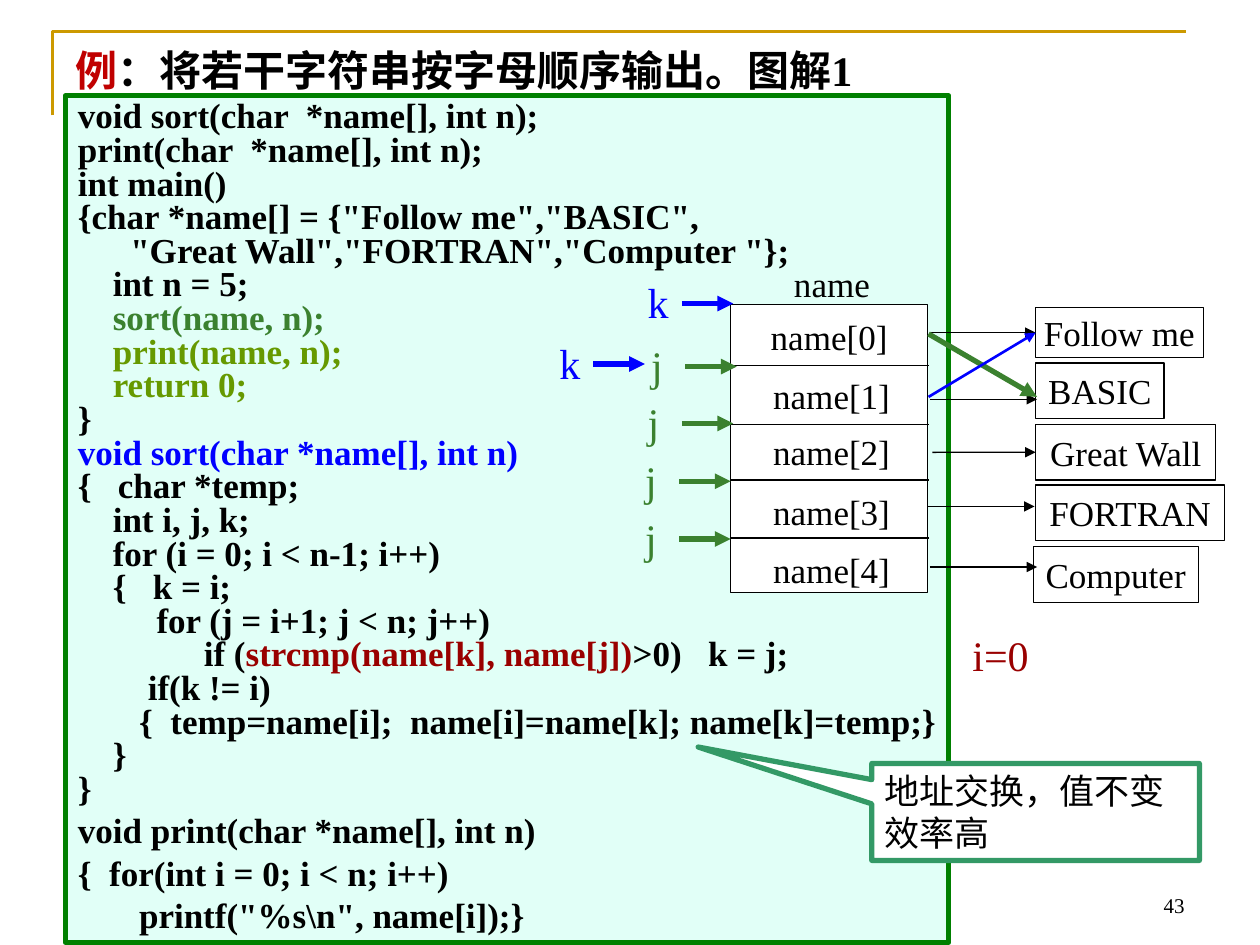
"""Build a slide that traces sorting an array of string pointers."""
from dataclasses import dataclass

from lxml.etree import SubElement
from pptx import Presentation
from pptx.dml.color import RGBColor
from pptx.enum.shapes import MSO_CONNECTOR, MSO_SHAPE
from pptx.enum.text import MSO_ANCHOR, PP_ALIGN
from pptx.oxml.ns import qn
from pptx.util import Pt

BLACK = RGBColor(0x00, 0x00, 0x00)
WHITE = RGBColor(0xFF, 0xFF, 0xFF)
GOLD = RGBColor(0xCC, 0x99, 0x00)
MINT = RGBColor(0xE1, 0xFF, 0xF7)
FOREST = RGBColor(0x00, 0x80, 0x00)
GREEN = RGBColor(0x3B, 0x81, 0x2F)
OLIVE = RGBColor(0x66, 0x99, 0x00)
JADE = RGBColor(0x33, 0x99, 0x66)
BLUE = RGBColor(0x00, 0x00, 0xFF)
MAROON = RGBColor(0x99, 0x00, 0x00)
RED = RGBColor(0xC0, 0x00, 0x00)
SERIF = "Times New Roman"
SANS = "Noto Sans CJK SC"
THIN, THICK = 0.75, 3


@dataclass
class Run:
    """A stretch of text in one colour and font."""
    text: str
    color: RGBColor = BLACK
    font: str = SERIF


@dataclass
class Box:
    """A place on the slide, in points."""
    left: float
    top: float
    width: float
    height: float


@dataclass
class Row:
    """An array cell, its arrow and the string it points to."""
    cell: str
    top: float
    tail: tuple[float, float]
    word: str
    box: Box
    joined: bool = False


@dataclass
class Mark:
    """An index letter with an arrow to its right."""
    name: str
    left: float
    mid: float
    color: RGBColor


CODE = [
    [Run("void sort(char  *name[], int n);")],
    [Run("print(char  *name[], int n);")],
    [Run("int main()")],
    [Run('{char *name[] = {"Follow me","BASIC",')],
    [Run('      "Great Wall","FORTRAN","Computer "};')],
    [Run("    int n = 5;")],
    [Run("    sort(name, n);", GREEN)],
    [Run("    "), Run("print(name, n);", OLIVE)],
    [Run("    return 0;", OLIVE)],
    [Run("}")],
    [Run("void sort(char *name[], int n)", BLUE)],
    [Run("{   char *temp;")],
    [Run("    int i, j, k;")],
    [Run("    for (i = 0; i < n-1; i++)")],
    [Run("    {   k = i;")],
    [Run("         for (j = i+1; j < n; j++)")],
    [Run("\tif ("), Run("strcmp(name[k], name[j])", MAROON), Run(">0)   k = j;")],
    [Run("        if(k != i)")],
    [Run("       {  temp=name[i];  name[i]=name[k]; name[k]=temp;}")],
    [Run("    }")],
    [Run("}")],
    [Run("void print(char *name[], int n)")],
    [Run("{  for(int i = 0; i < n; i++)")],
    [Run(r'       printf("%s\n", name[i]);}')],
]
LOOSE = 3
ROWS = [
    Row("name[0]", 176.5, (532, 190.1), "Follow me", Box(591.8, 175.7, 95.8, 28.8), True),
    Row("name[1]", 210.2, (531.4, 228.2), "BASIC", Box(591.8, 207.4, 73.4, 31.7)),
    Row("name[2]", 242, (532.8, 258.5), "Great Wall", Box(591.8, 242.6, 103, 31.7), True),
    Row("name[3]", 276.5, (530, 289.4), "FORTRAN", Box(591.8, 277.2, 108, 31.7)),
    Row("name[4]", 309.6, (531.4, 324), "Computer", Box(590.4, 312.5, 94.3, 31.7)),
]
RULES = [208.8, 242.6, 274.3, 307.4]
MARKS = [
    Mark("k", 363, 173.5, BLUE),
    Mark("j", 365, 209.5, GREEN),
    Mark("k", 312.5, 208, BLUE),
    Mark("j", 363, 242, GREEN),
    Mark("j", 361.5, 275, GREEN),
    Mark("j", 361.5, 308, GREEN),
]


def write(shape, lines, size=20, bold=False, align=PP_ALIGN.LEFT,
          anchor=MSO_ANCHOR.MIDDLE, wrap=False, pitch=None, loose=0, tab=None):
    """Fill a shape with lines of runs, the last few set loose."""
    frame = shape.text_frame
    frame.word_wrap = wrap
    frame.vertical_anchor = anchor
    for at, line in enumerate(lines):
        para = frame.add_paragraph() if at else frame.paragraphs[0]
        para.alignment = align
        if pitch:
            para.line_spacing = pitch
        if at >= len(lines) - loose:
            para.space_before = Pt(5)
        if tab:
            stops = SubElement(para._p.get_or_add_pPr(), qn("a:tabLst"))
            SubElement(stops, qn("a:tab"), pos=str(Pt(tab)), algn="l")
        for part in line:
            run = para.add_run()
            run.text = part.text
            font = run.font
            font.size, font.bold, font.name = Pt(size), bold, part.font
            font.color.rgb = part.color
            SubElement(run._r.get_or_add_rPr(), qn("a:ea"), typeface=SANS)


def place(box: Box) -> list[int]:
    """Turn a box into slide lengths."""
    return [Pt(box.left), Pt(box.top), Pt(box.width), Pt(box.height)]


def label(slide, box: Box, *lines: list[Run], **form):
    """Add a text box."""
    write(slide.shapes.add_textbox(*place(box)), lines, **form)


def panel(slide, box: Box, line: RGBColor, width: float, fill=None, kind=MSO_SHAPE.RECTANGLE):
    """Add an outlined shape and return it."""
    shape = slide.shapes.add_shape(kind, *place(box))
    shape.shadow.inherit = False
    if fill is None:
        shape.fill.background()
    else:
        shape.fill.solid()
        shape.fill.fore_color.rgb = fill
    shape.line.color.rgb = line
    shape.line.width = Pt(width)
    return shape


def link(slide, start: tuple, end: tuple, color=BLACK, width=THIN, head=True, goal=None):
    """Draw a line, with an arrowhead or a joined goal if asked."""
    line = slide.shapes.add_connector(MSO_CONNECTOR.STRAIGHT, *map(Pt, start + end))
    line.line.color.rgb = color
    line.line.width = Pt(width)
    if head:
        SubElement(line.line._get_or_add_ln(), qn("a:tailEnd"), type="triangle")
    SubElement(line._element.spPr, qn("a:effectLst"))
    if goal is not None:
        line.end_connect(goal, 1)


def frame(slide):
    """Draw the gold corner rule."""
    build = slide.shapes.build_freeform(Pt(30), Pt(66))
    build.add_line_segments([(Pt(30), Pt(18)), (Pt(678), Pt(18))], close=False)
    shape = build.convert_to_shape()
    shape.shadow.inherit = False
    shape.fill.background()
    shape.line.color.rgb = GOLD
    shape.line.width = Pt(1.5)


def table(slide):
    """Draw the pointer array, its strings and the swapped arrows."""
    panel(slide, Box(417.6, 174.2, 112.6, 164.2), BLACK, THIN, WHITE)
    for y in RULES:
        link(slide, (417.6, y), (531, y), head=False)
    label(slide, Box(445.4, 146.2, 60, 31.7), [Run("name")], align=PP_ALIGN.CENTER)
    goals = []
    for row in ROWS:
        left = 430.8 if row is ROWS[0] else 432.2
        label(slide, Box(left, row.top, 86, 31.7), [Run(row.cell)], align=PP_ALIGN.CENTER)
        goal = panel(slide, row.box, BLACK, THIN)
        write(goal, [[Run(row.word)]], align=PP_ALIGN.CENTER)
        x, y = row.tail
        link(slide, row.tail, (x + 61.2, y), goal=goal if row.joined else None)
        goals.append(goal)
    link(slide, (530.6, 190.8), (592.6, 226.8), GREEN, THICK)
    link(slide, (530.6, 226.8), (591.8, 190.1), BLUE, 1.5, goal=goals[0])


def main():
    """Build and save the slide."""
    deck = Presentation()
    deck.slide_width, deck.slide_height = Pt(720), Pt(540)
    slide = deck.slides.add_slide(deck.slide_layouts[6])
    frame(slide)
    label(slide, Box(516.2, 491.8, 167.8, 36), [Run("43")], size=12,
          align=PP_ALIGN.RIGHT, anchor=MSO_ANCHOR.BOTTOM)
    code = panel(slide, Box(37.4, 54.7, 504.7, 483.8), FOREST, THICK, MINT)
    write(code, CODE, bold=True, anchor=MSO_ANCHOR.TOP, pitch=0.8, loose=LOOSE, tab=72)
    table(slide)
    for mark in MARKS:
        link(slide, (mark.left + 26.6, mark.mid), (mark.left + 56, mark.mid), mark.color, THICK)
        label(slide, Box(mark.left, mark.mid - 19, 26, 36), [Run(mark.name, mark.color)], size=24)
    label(slide, Box(548.6, 356.4, 50, 36), [Run("i=0", MAROON)], size=24)
    label(slide, Box(36, 21.6, 648, 29.5),
          [Run("例", RED, SANS), Run("：将若干字符串按字母顺序输出。", font=SANS), Run("图解1")],
          size=24, bold=True, anchor=MSO_ANCHOR.TOP, wrap=True)
    note = panel(slide, Box(498.2, 436.3, 187.2, 55.4), JADE, THICK, WHITE,
                 MSO_SHAPE.RECTANGULAR_CALLOUT)
    note.adjustments[0], note.adjustments[1] = -1.03, -0.67
    write(note, [[Run("地址交换，值不变")], [Run("效率高")]], wrap=True)
    deck.save("out.pptx")


if __name__ == "__main__":
    main()
